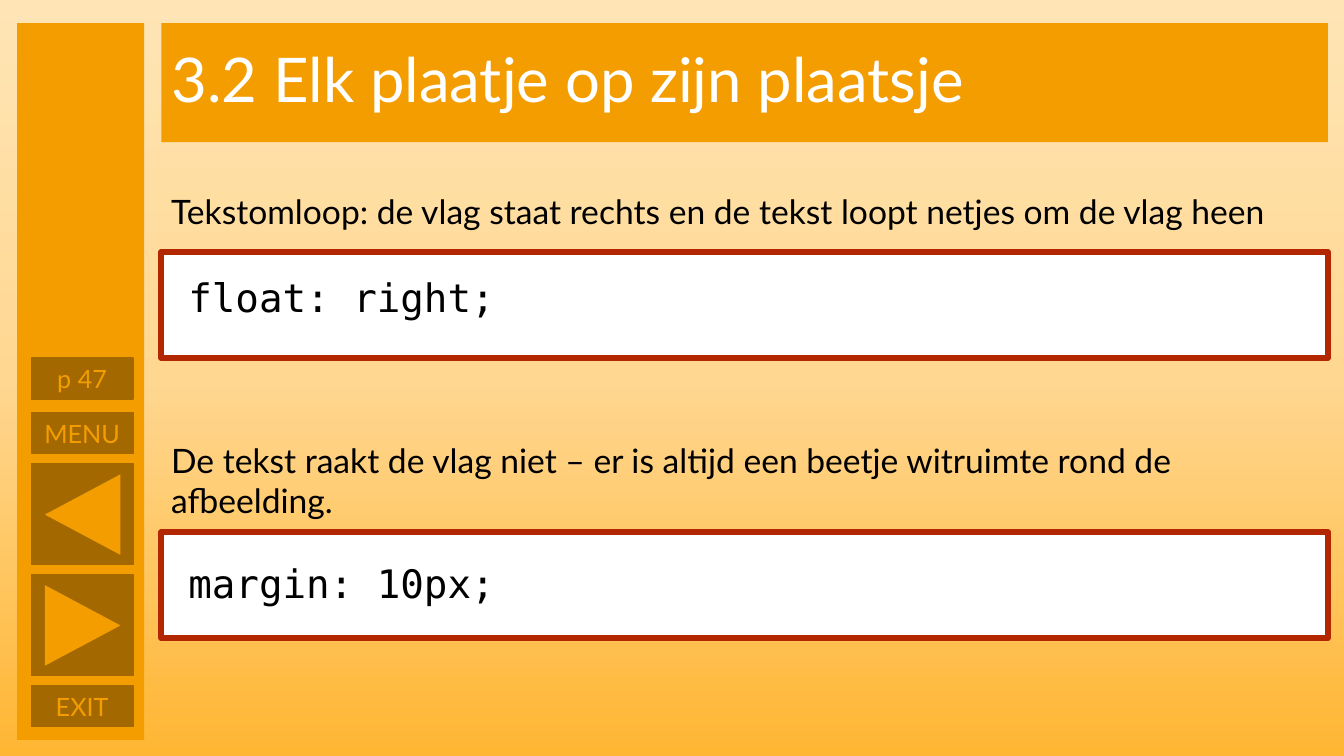
import copy

import pptx
import pptx.dml.color
import pptx.enum.shapes
import pptx.enum.text
import pptx.oxml.ns
import pptx.util

SHAPE = pptx.enum.shapes.MSO_SHAPE
ALIGN = pptx.enum.text.PP_ALIGN
ANCHOR = pptx.enum.text.MSO_ANCHOR
EMU_PER_PX = 9144


def px(*lengths):
    return [pptx.util.Emu(n * EMU_PER_PX) for n in lengths]


def color(hex_value):
    return pptx.dml.color.RGBColor.from_string(hex_value)


def write(sp, text, size=24, font="Lato", fill="000000", align=ALIGN.LEFT,
          anchor=ANCHOR.TOP, spacing=1.0):
    tf = sp.text_frame
    tf.word_wrap = True
    tf.auto_size = pptx.enum.text.MSO_AUTO_SIZE.NONE
    tf.vertical_anchor = anchor
    p = tf.paragraphs[0]
    p.alignment = align
    p.line_spacing = spacing
    r = p.add_run()
    r.text = text
    r.font.size = pptx.util.Pt(size)
    r.font.name = font
    r.font.color.rgb = color(fill)


class LessonSlide:
    ORANGE = "F49D00"
    BROWN = "A36900"
    RED = "B22600"
    MONO = "DejaVu Sans Mono"
    LEFT, WIDTH = 160, 1157
    BUTTON_LEFT, BUTTON_WIDTH = 31, 101

    def __init__(self, prs):
        self.s = prs.slides.add_slide(prs.slide_layouts[5])

    def background(self, stops):
        fill = self.s.background.fill
        fill.gradient()
        fill.gradient_angle = 270
        gs_list = self.s.element.find(".//" + pptx.oxml.ns.qn("a:gsLst"))
        gs_list.append(copy.deepcopy(gs_list[-1]))
        for stop, (position, hex_value) in zip(fill.gradient_stops, stops):
            stop.position = position
            stop.color.rgb = color(hex_value)

    def title(self, text, top, height):
        sp = self.s.shapes.title
        sp.left, sp.top, sp.width, sp.height = px(self.LEFT, top, self.WIDTH, height)
        sp.fill.solid()
        sp.fill.fore_color.rgb = color(self.ORANGE)
        write(sp, text, size=44, fill="FFFFFF", anchor=ANCHOR.MIDDLE, spacing=0.9)

    def shape(self, kind, box, fill, line=None, line_width=1):
        sp = self.s.shapes.add_shape(kind, *px(*box))
        sp.shadow.inherit = False
        sp.fill.solid()
        sp.fill.fore_color.rgb = color(fill)
        if line:
            sp.line.color.rgb = color(line)
            sp.line.width = pptx.util.Pt(line_width)
        else:
            sp.line.fill.background()
        return sp

    def text(self, text, box, **style):
        write(self.s.shapes.add_textbox(*px(*box)), text, **style)

    def button(self, top, height=41, label=None):
        box = (self.BUTTON_LEFT, top, self.BUTTON_WIDTH, height)
        sp = self.shape(SHAPE.RECTANGLE, box, self.BROWN, line=self.BROWN)
        if label:
            sp.text_frame.margin_left = sp.text_frame.margin_right = 0
            write(sp, label, size=18, fill=self.ORANGE, align=ALIGN.CENTER,
                  anchor=ANCHOR.MIDDLE)

    def arrow_button(self, top, rotation):
        self.button(top, height=100)
        arrow = self.shape(SHAPE.ISOSCELES_TRIANGLE, (42, top + 13, 80, 75), self.ORANGE)
        arrow.rotation = rotation

    def explanation(self, text, top, height):
        self.text(text, (self.LEFT, top, self.WIDTH, height))

    def code(self, text, top, text_top):
        self.shape(SHAPE.RECTANGLE, (self.LEFT, top, self.WIDTH, 105), "FFFFFF",
                   line=self.RED, line_width=4.5)
        self.text(text, (self.LEFT + 17, text_top, self.WIDTH - 34, 57),
                  size=28, font=self.MONO)


def main():
    prs = pptx.Presentation()
    prs.slide_width, prs.slide_height = px(1333, 750)
    lesson = LessonSlide(prs)
    lesson.background([(0, "FFE5B5"), (0.5, "FFD791"), (1, "FFB633")])
    lesson.title("3.2 Elk plaatje op zijn plaatsje", 23, 118)

    lesson.shape(SHAPE.RECTANGLE, (17, 23, 126, 711), lesson.ORANGE)
    for label, top in (("p 47", 355), ("MENU", 409), ("EXIT", 680)):
        lesson.button(top, label=label)
    for top, rotation in ((460, 270), (570, 90)):
        lesson.arrow_button(top, rotation)

    lesson.explanation(
        "Tekstomloop: de vlag staat rechts en de tekst loopt netjes om de vlag heen",
        184, 50)
    lesson.code("float: right;", 250, 266)
    lesson.explanation(
        "De tekst raakt de vlag niet – er is altijd een beetje witruimte rond de "
        "afbeelding.", 431, 91)
    lesson.code("margin: 10px;", 528, 550)
    prs.save("out.pptx")


if __name__ == "__main__":
    main()
